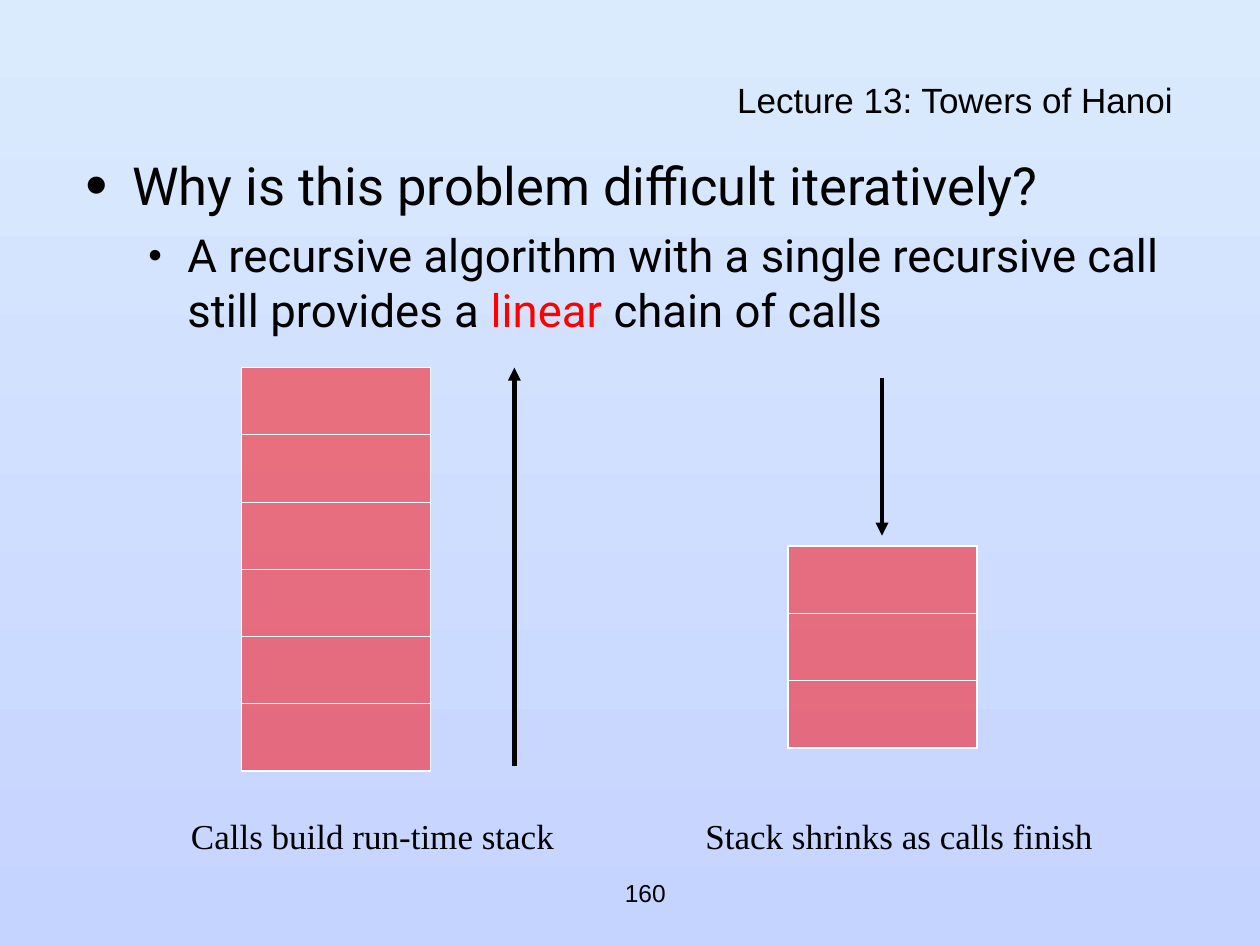
from lxml import etree
from pptx import Presentation
from pptx import util as u
from pptx.dml.color import RGBColor
from pptx.enum import shapes, text
from pptx.oxml.ns import qn

BLACK, WHITE, RED = "000000", "FFFFFF", "FF0000"
BACKGROUND = ["DAEBFE", "C5D3FF"]
ROW_HEIGHT = 1.355
THIN, THICK = 0.45, 1.08


def color(value):
    return RGBColor.from_string(value)


def set_background(slide):
    fill = slide.background.fill
    fill.gradient()
    fill.gradient_angle = 270
    for position, (stop, value) in enumerate(zip(fill.gradient_stops, BACKGROUND)):
        stop.position = position
        stop.color.rgb = color(value)


def add_box(slide, left, top, width, height, anchor=text.MSO_ANCHOR.TOP, wrap=True):
    """Add an empty text box and return its text frame."""
    shape = slide.shapes.add_textbox(u.Cm(left), u.Cm(top), u.Cm(width), u.Cm(height))
    frame = shape.text_frame
    frame.word_wrap = wrap
    frame.vertical_anchor = anchor
    return frame


def add_run(paragraph, words, size, font, value=BLACK):
    run = paragraph.add_run()
    run.text = words
    run.font.size = u.Pt(size)
    run.font.name = font
    run.font.color.rgb = color(value)


def add_bullet(paragraph, indent, hanging, percent):
    properties = paragraph._p.get_or_add_pPr()
    properties.set("marL", str(u.Cm(indent)))
    properties.set("indent", str(-u.Cm(hanging)))
    bullet_color = etree.SubElement(properties, qn("a:buClr"))
    etree.SubElement(bullet_color, qn("a:srgbClr"), val=BLACK)
    etree.SubElement(properties, qn("a:buSzPct"), val=str(percent * 1000))
    etree.SubElement(properties, qn("a:buFont"), typeface="Arial")
    etree.SubElement(properties, qn("a:buChar"), char="•")


def add_title(slide):
    frame = add_box(slide, 1.47, 1.69, 22.43, 0.85, text.MSO_ANCHOR.MIDDLE)
    paragraph = frame.paragraphs[0]
    paragraph.alignment = text.PP_ALIGN.RIGHT
    paragraph.line_spacing = 0.7
    add_run(paragraph, "Lecture 13: Towers of Hanoi", 20, "Arial")


def add_body(slide):
    frame = add_box(slide, 1.47, 2.96, 22.43, 13.97)
    question = frame.paragraphs[0]
    add_bullet(question, 0.95, 0.95, 120)
    add_run(question, "Why is this problem difficult iteratively?", 30, "Roboto")

    answer = frame.add_paragraph()
    answer.level = 1
    add_bullet(answer, 2.06, 0.79, 85)
    answer.space_before = u.Pt(6.5)
    for words, value in [
        ("A recursive algorithm with a single recursive call still provides a ", BLACK),
        ("linear", RED),
        (" chain of calls", BLACK),
    ]:
        add_run(answer, words, 26, "Roboto", value)


def style_cell(cell, top, bottom):
    """Give a cell a half-transparent fill and white borders."""
    cell.fill.solid()
    cell.fill.fore_color.rgb = color(RED)
    properties = cell._tc.get_or_add_tcPr()
    fill_color = properties.find(".//" + qn("a:srgbClr"))
    etree.SubElement(fill_color, qn("a:alpha"), val="50000")
    borders = [("L", THICK), ("R", THICK), ("T", top), ("B", bottom)]
    for index, (side, width) in enumerate(borders):
        line = etree.Element(qn(f"a:ln{side}"), w=str(u.Pt(width)))
        line_fill = etree.SubElement(line, qn("a:solidFill"))
        etree.SubElement(line_fill, qn("a:srgbClr"), val=WHITE)
        properties.insert(index, line)


def add_stack(slide, left, top, calls):
    frame = slide.shapes.add_table(
        calls, 1, u.Cm(left), u.Cm(top), u.Cm(3.81), u.Cm(calls * ROW_HEIGHT))
    table = frame.table
    table.first_row = table.horz_banding = False
    for index, row in enumerate(table.rows):
        row.height = u.Cm(ROW_HEIGHT)
        style_cell(row.cells[0],
                   THICK if index == 0 else THIN,
                   THICK if index == calls - 1 else THIN)


def add_arrow(slide, x, start, end):
    arrow = slide.shapes.add_connector(
        shapes.MSO_CONNECTOR.STRAIGHT, u.Cm(x), u.Cm(start), u.Cm(x), u.Cm(end))
    arrow.line.color.rgb = color(BLACK)
    arrow.line.width = u.Pt(2.5)
    etree.SubElement(arrow.line._get_or_add_ln(), qn("a:tailEnd"), type="triangle")
    etree.SubElement(arrow._element.spPr, qn("a:effectLst"))


def add_caption(slide, left, width, words):
    frame = add_box(slide, left, 16.3, width, 1.11)
    add_run(frame.paragraphs[0], words, 20, "Times New Roman")


def add_page_number(slide):
    frame = add_box(slide, 10.37, 17.36, 5.28, 1.27, text.MSO_ANCHOR.MIDDLE, wrap=False)
    paragraph = frame.paragraphs[0]
    paragraph.alignment = text.PP_ALIGN.CENTER
    add_run(paragraph, "160", 14, "Arial")


def main():
    presentation = Presentation()
    presentation.slide_width, presentation.slide_height = u.Cm(25.4), u.Cm(19.05)
    slide = presentation.slides.add_slide(presentation.slide_layouts[6])
    set_background(slide)
    add_page_number(slide)
    add_title(slide)
    add_body(slide)
    add_stack(slide, 4.87, 7.41, calls=6)
    add_arrow(slide, 10.37, 15.45, 7.41)
    add_stack(slide, 15.88, 11.01, calls=3)
    add_arrow(slide, 17.78, 7.62, 10.8)
    add_caption(slide, 3.6, 8.47, "Calls build run-time stack")
    add_caption(slide, 13.97, 9.31, "Stack shrinks as calls finish")
    presentation.save("out.pptx")


if __name__ == "__main__":
    main()
